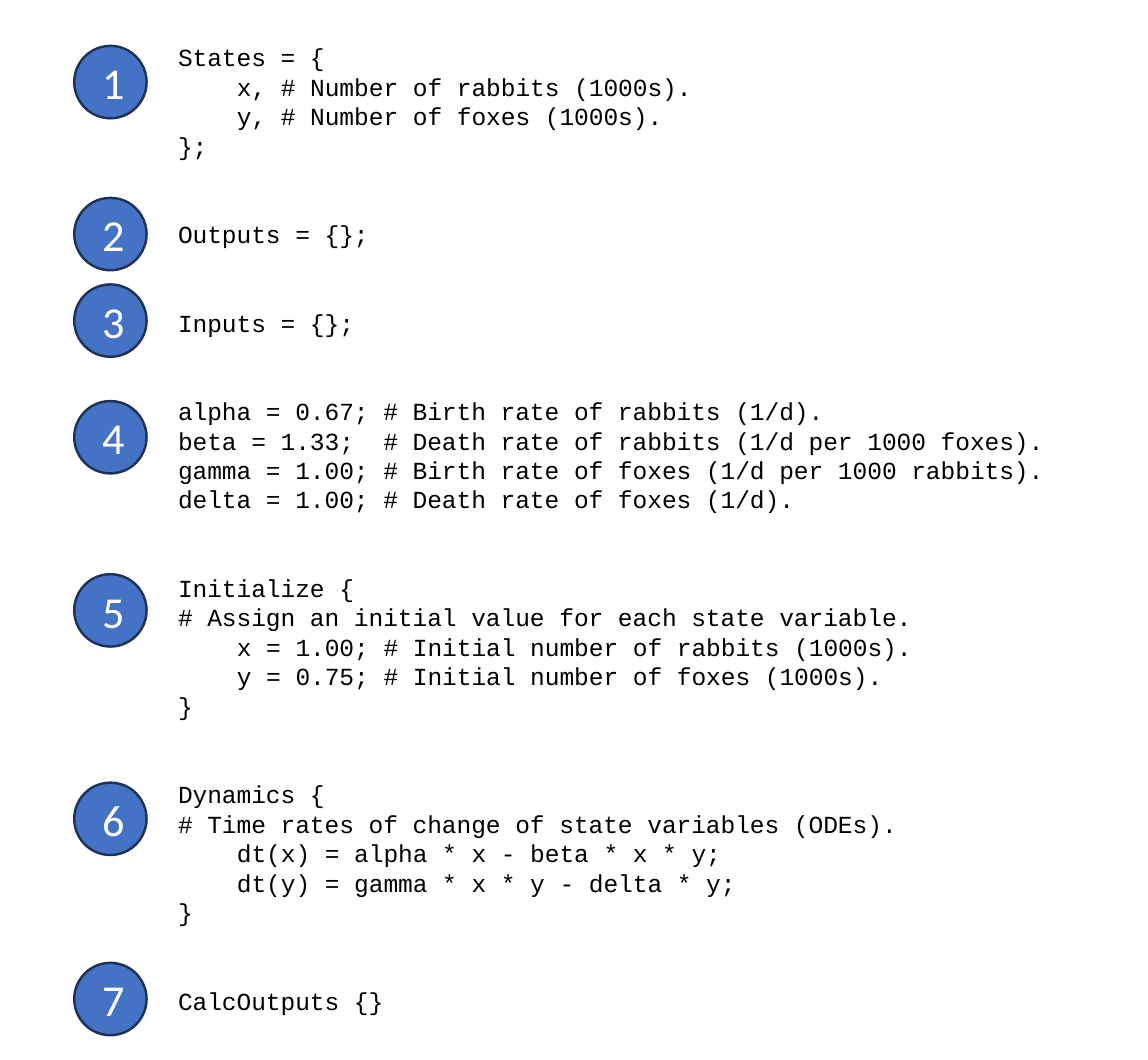
from pptx import Presentation
from pptx.dml.color import RGBColor
from pptx.enum.shapes import MSO_SHAPE
from pptx.enum.text import MSO_ANCHOR, MSO_AUTO_SIZE, PP_ALIGN
from pptx.util import Inches, Pt

OVAL = MSO_SHAPE.OVAL
MIDDLE = MSO_ANCHOR.MIDDLE
CENTER = PP_ALIGN.CENTER
FIT_SHAPE = MSO_AUTO_SIZE.SHAPE_TO_FIT_TEXT

BLUE = RGBColor(0x44, 0x72, 0xC4)
NAVY = RGBColor(0x1E, 0x32, 0x56)
WHITE = RGBColor(0xFF, 0xFF, 0xFF)
BLACK = RGBColor(0x00, 0x00, 0x00)

# Each section: top of its numbered circle, then (indent level, code line).
SECTIONS = [
    (0.26, [
        (0, "States = {"),
        (1, "x, # Number of rabbits (1000s)."),
        (1, "y, # Number of foxes (1000s)."),
        (0, "};"),
    ]),
    (1.12, [(0, "Outputs = {};")]),
    (1.61, [(0, "Inputs = {};")]),
    (2.27, [
        (0, "alpha = 0.67; # Birth rate of rabbits (1/d)."),
        (0, "beta = 1.33;  # Death rate of rabbits (1/d per 1000 foxes)."),
        (0, "gamma = 1.00; # Birth rate of foxes (1/d per 1000 rabbits)."),
        (0, "delta = 1.00; # Death rate of foxes (1/d)."),
    ]),
    (3.25, [
        (0, "Initialize {"),
        (0, "# Assign an initial value for each state variable."),
        (1, "x = 1.00; # Initial number of rabbits (1000s)."),
        (1, "y = 0.75; # Initial number of foxes (1000s)."),
        (0, "}"),
    ]),
    (4.43, [
        (0, "Dynamics {"),
        (0, "# Time rates of change of state variables (ODEs)."),
        (1, "dt(x) = alpha * x - beta * x * y;"),
        (1, "dt(y) = gamma * x * y - delta * y;"),
        (0, "}"),
    ]),
    (5.45, [(0, "CalcOutputs {}")]),
]

CIRCLE_LEFT, CIRCLE_SIZE = 0.42, 0.41
CODE_INDENT = Pt(24)  # four characters of 10 pt Courier New
SECTION_GAP = Pt(24)  # two code lines


def style_font(paragraph, name, size, color):
    paragraph.font.name = name
    paragraph.font.size = Pt(size)
    paragraph.font.color.rgb = color


def add_code(slide):
    box = slide.shapes.add_textbox(Inches(0.91), Inches(0.19), Inches(5.17), Inches(5.65))
    frame = box.text_frame
    frame.word_wrap = False
    frame.auto_size = FIT_SHAPE
    paragraph = frame.paragraphs[0]
    for section, (_, lines) in enumerate(SECTIONS):
        for row, (level, text) in enumerate(lines):
            if section or row:
                paragraph = frame.add_paragraph()
            paragraph.text = text
            if section and row == 0:
                paragraph.space_before = SECTION_GAP
            if level:
                properties = paragraph._p.get_or_add_pPr()
                properties.set("marL", str(level * CODE_INDENT))
                properties.set("indent", "0")
            style_font(paragraph, "Courier New", 10, BLACK)


def add_number_circle(slide, number, top):
    circle = slide.shapes.add_shape(
        OVAL, Inches(CIRCLE_LEFT), Inches(top), Inches(CIRCLE_SIZE), Inches(CIRCLE_SIZE))
    circle.shadow.inherit = False
    circle.fill.solid()
    circle.fill.fore_color.rgb = BLUE
    circle.line.color.rgb = NAVY
    circle.line.width = Pt(1)
    circle.text_frame.vertical_anchor = MIDDLE
    paragraph = circle.text_frame.paragraphs[0]
    paragraph.text = str(number)
    paragraph.alignment = CENTER
    style_font(paragraph, "Calibri", 18, WHITE)


def main():
    presentation = Presentation()
    presentation.slide_width = Inches(6.5)
    presentation.slide_height = Inches(6)
    slide = presentation.slides.add_slide(presentation.slide_layouts[6])
    add_code(slide)
    for number, (top, _) in enumerate(SECTIONS, start=1):
        add_number_circle(slide, number, top)
    presentation.save("out.pptx")


if __name__ == "__main__":
    main()
